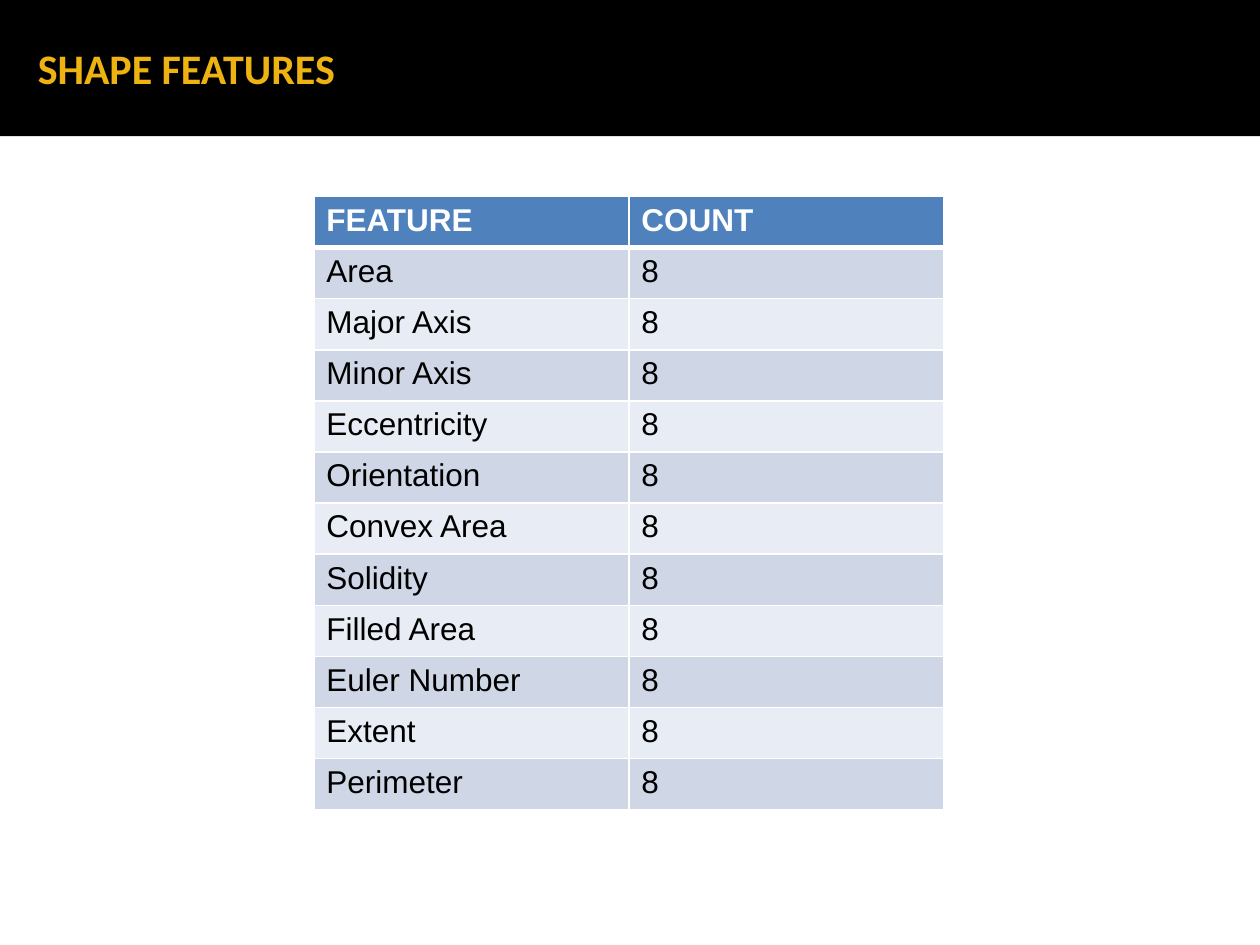
"""Build the shape features slide: a title band over a table of counts."""
from dataclasses import dataclass

from lxml import etree
from pptx import Presentation
from pptx.dml.color import RGBColor
from pptx.enum.shapes import MSO_SHAPE
from pptx.enum.text import MSO_ANCHOR, PP_ALIGN
from pptx.oxml.ns import qn
from pptx.util import Inches, Pt

RECT = MSO_SHAPE.RECTANGLE
MIDDLE = MSO_ANCHOR.MIDDLE
LEFT = PP_ALIGN.LEFT

BLACK = RGBColor(0x00, 0x00, 0x00)
WHITE = RGBColor(0xFF, 0xFF, 0xFF)
GOLD = RGBColor(0xEE, 0xB2, 0x11)
BLUE = RGBColor(0x4F, 0x81, 0xBD)
DARK = RGBColor(0xCF, 0xD7, 0xE7)
LIGHT = RGBColor(0xE8, 0xEC, 0xF4)


@dataclass(frozen=True)
class Look:
    font: str
    size: int
    color: RGBColor
    bold: bool


@dataclass(frozen=True)
class Row:
    feature: str
    count: str


TITLE = Look("Calibri", 24, GOLD, True)
HEAD = Look("Arial", 18, WHITE, True)
BODY = Look("Arial", 18, BLACK, False)

NAMES = (
    "Area", "Major Axis", "Minor Axis", "Eccentricity", "Orientation",
    "Convex Area", "Solidity", "Filled Area", "Euler Number", "Extent",
    "Perimeter",
)
ROWS = [Row("FEATURE", "COUNT")] + [Row(name, "8") for name in NAMES]


def write(frame, text: str, look: Look) -> None:
    frame.text = text
    para = frame.paragraphs[0]
    para.alignment = LEFT
    font = para.runs[0].font
    font.name = look.font
    font.size = Pt(look.size)
    font.bold = look.bold
    font.color.rgb = look.color


def edge(cell, side: str, width: int) -> None:
    line = etree.SubElement(cell._tc.get_or_add_tcPr(), qn(f"a:ln{side}"), w=str(Pt(width)))
    fill = etree.SubElement(line, qn("a:solidFill"))
    etree.SubElement(fill, qn("a:srgbClr"), val=str(WHITE))


def draw_title(slide, text: str) -> None:
    band = slide.shapes.add_shape(RECT, 0, 0, Inches(10), Inches(1.08))
    band.shadow.inherit = False
    band.fill.solid()
    band.fill.fore_color.rgb = BLACK
    band.line.fill.background()
    frame = band.text_frame
    frame.margin_left = Inches(0.3)
    frame.vertical_anchor = MIDDLE
    write(frame, text, TITLE)


def draw_table(slide, rows: list[Row]) -> None:
    frame = slide.shapes.add_table(
        len(rows), 2, Inches(2.49), Inches(1.56), Inches(5), Inches(4.87)
    )
    for i, row in enumerate(rows):
        shade = BLUE if i == 0 else DARK if i % 2 else LIGHT
        for j, text in enumerate((row.feature, row.count)):
            cell = frame.table.cell(i, j)
            edge(cell, "L", 1)
            edge(cell, "R", 1)
            edge(cell, "T", 3 if i == 1 else 1)
            edge(cell, "B", 3 if i == 0 else 1)
            cell.fill.solid()
            cell.fill.fore_color.rgb = shade
            write(cell.text_frame, text, BODY if i else HEAD)


def main() -> None:
    deck = Presentation()
    deck.slide_width = Inches(10)
    deck.slide_height = Inches(7.5)
    slide = deck.slides.add_slide(deck.slide_layouts[6])
    draw_title(slide, "SHAPE FEATURES")
    draw_table(slide, ROWS)
    deck.save("out.pptx")


if __name__ == "__main__":
    main()
